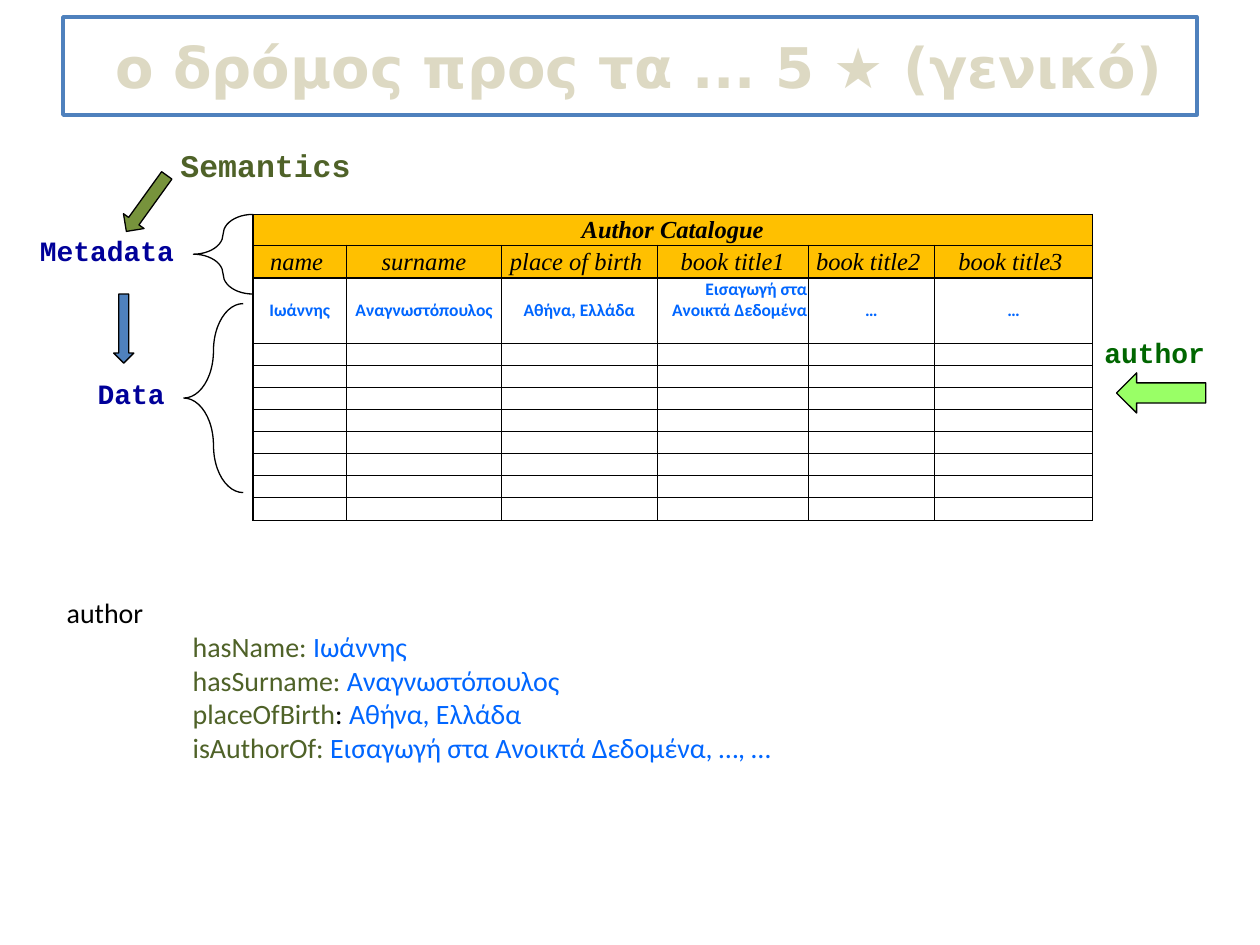
"""Build the slide on the road to five-star author data."""
from dataclasses import dataclass
from typing import Any, NamedTuple

from lxml.etree import SubElement
from pptx import Presentation
from pptx.dml.color import RGBColor
from pptx.enum.shapes import MSO_SHAPE
from pptx.enum.text import MSO_ANCHOR, PP_ALIGN
from pptx.oxml.ns import qn
from pptx.util import Pt


@dataclass(frozen=True)
class Theme:
    """Colours, fonts and type sizes of the slide."""

    black: str = "000000"
    white: str = "FFFFFF"
    cream: str = "DDD9C3"
    blue: str = "4F81BD"
    navy: str = "000099"
    value: str = "0066FF"
    olive: str = "4F6228"
    olive_fill: str = "77933C"
    green: str = "006600"
    lime: str = "99FF66"
    gold: str = "FFC000"
    title_font: str = "DejaVu Sans"
    body_font: str = "Calibri"
    label_font: str = "Courier New"
    table_font: str = "Times New Roman"
    title_size: float = 32
    semantics_size: float = 18
    text_size: float = 16
    header_size: float = 14
    cell_size: float = 10
    empty_size: float = 9
    thin: float = 0.5
    outline: float = 0.75
    thick: float = 1
    frame: float = 2


THEME = Theme()


class Area(NamedTuple):
    """Left, top, width and height in points."""

    left: float
    top: float
    width: float
    height: float


class Label(NamedTuple):
    """A bold one-line caption."""

    text: str
    area: Area
    color: str
    size: float = THEME.text_size


class Figure(NamedTuple):
    """An outlined preset shape."""

    kind: MSO_SHAPE
    area: Area
    adjustments: tuple[float, ...] = ()
    fill: str | None = None
    rotation: float = 0
    line: str = THEME.black
    line_width: float = THEME.outline


class Fact(NamedTuple):
    """A property of the author, its separator colour and its value."""

    name: str
    separator_color: str
    value: str


ARROW = (0.5, 0.5)
BRACE = (0.96, 0.5)
TITLE = "ο δρόμος προς τα ... 5 ★ (γενικό)"
TITLE_FRAME = Figure(MSO_SHAPE.RECTANGLE, Area(36, 9.75, 648, 56), (), THEME.white, 0,
                     THEME.blue, THEME.frame)
FIGURES = (
    Figure(MSO_SHAPE.LEFT_BRACE, Area(105, 173.5, 34, 108), BRACE),
    Figure(MSO_SHAPE.LEFT_BRACE, Area(110.5, 122.5, 34, 45.5), BRACE),
    Figure(MSO_SHAPE.DOWN_ARROW, Area(65, 168, 11.5, 39.5), ARROW, THEME.blue),
    Figure(MSO_SHAPE.RIGHT_ARROW, Area(638, 213, 51, 23), ARROW, THEME.lime, 180),
    Figure(MSO_SHAPE.DOWN_ARROW, Area(76.5, 96.5, 14.5, 39.5), ARROW, THEME.olive_fill, 35.8),
)
LABELS = (
    Label("Data", Area(48.75, 215.5, 68, 22), THEME.navy),
    Label("Metadata", Area(15.75, 133.5, 109, 23), THEME.navy),
    Label("author", Area(624, 192, 88, 22), THEME.green),
    Label("Semantics", Area(96, 84, 126, 24), THEME.olive, THEME.semantics_size),
)
FACTS = (
    Fact("hasName", THEME.olive, "Ιωάννης"),
    Fact("hasSurname", THEME.olive, "Αναγνωστόπουλος"),
    Fact("placeOfBirth", THEME.black, "Αθήνα, Ελλάδα"),
    Fact("isAuthorOf", THEME.olive, "Εισαγωγή στα Ανοικτά Δεδομένα, …, …"),
)
FACTS_AREA = Area(31, 337, 647, 124)
FACT_INDENT = 72
TABLE_AREA = Area(144.5, 122.5, 480, 175)
COLUMN_WIDTHS = (53.5, 88.5, 89, 86.5, 72, 90.5)
EMPTY_ROWS = 8
ROW_HEIGHTS = (17.5, 18.75, 37.25) + (12.65,) * EMPTY_ROWS
CATALOGUE = (
    ("Author Catalogue",),
    ("name ", "surname", "place of birth ", "book title1", "book title2 ", "book title3 "),
    ("Ιωάννης", "Αναγνωστόπουλος", "Αθήνα, Ελλάδα", "Εισαγωγή στα Ανοικτά Δεδομένα", "…", "…"),
)
BOOK_CELL = (2, 3)


def set_all(target: Any, values: dict[str, Any]) -> None:
    """Set each named attribute on the target."""
    for name, value in values.items():
        setattr(target, name, value)


def add_span(paragraph: Any, text: str, color: str, size: float, font: str,
             bold: bool = False, italic: bool = False) -> None:
    """Add one formatted run."""
    span = paragraph.add_run()
    span.text = text
    set_all(span.font, {"name": font, "size": Pt(size), "bold": bold, "italic": italic})
    span.font.color.rgb = RGBColor.from_string(color)


def add_box(page: Any, area: Area) -> Any:
    """Add a wrapping text box and return its text frame."""
    frame = page.shapes.add_textbox(*map(Pt, area)).text_frame
    frame.word_wrap = True
    return frame


def add_label(page: Any, label: Label) -> None:
    """Draw a caption."""
    paragraph = add_box(page, label.area).paragraphs[0]
    paragraph.line_spacing = 0.8
    add_span(paragraph, label.text, label.color, label.size, THEME.label_font, bold=True)


def paint(fill: Any, color: str | None) -> None:
    """Fill with a colour, or with nothing."""
    if color is None:
        fill.background()
    else:
        fill.solid()
        fill.fore_color.rgb = RGBColor.from_string(color)


def add_figure(page: Any, figure: Figure) -> Any:
    """Draw a preset shape."""
    shape = page.shapes.add_shape(figure.kind, *map(Pt, figure.area))
    shape.shadow.inherit = False
    shape.rotation = figure.rotation
    for index, value in enumerate(figure.adjustments):
        shape.adjustments[index] = value
    paint(shape.fill, figure.fill)
    shape.line.color.rgb = RGBColor.from_string(figure.line)
    shape.line.width = Pt(figure.line_width)
    return shape


def add_borders(cell: Any, row: int, column: int) -> None:
    """Draw thick edges at the left, the top and under the header, thin ones elsewhere."""
    thick = {"lnL": column == 0, "lnR": False, "lnT": row in (0, 2), "lnB": row == 1}
    for edge, heavy in thick.items():
        width = Pt(THEME.thick if heavy else THEME.thin)
        line = SubElement(cell._tc.get_or_add_tcPr(), qn(f"a:{edge}"), w=str(width))
        SubElement(SubElement(line, qn("a:solidFill")), qn("a:srgbClr"), val=THEME.black)


def fill_cell(cell: Any, row: int, column: int) -> None:
    """Format one table cell and write its text."""
    top = (row, column) == BOOK_CELL
    set_all(cell, {"margin_left": Pt(0.72), "margin_right": Pt(0.72), "margin_top": Pt(0.72),
                   "margin_bottom": Pt(0),
                   "vertical_anchor": MSO_ANCHOR.TOP if top else MSO_ANCHOR.MIDDLE})
    add_borders(cell, row, column)
    header = row < 2
    paint(cell.fill, THEME.gold if header else None)
    paragraph = cell.text_frame.paragraphs[0]
    paragraph.alignment = PP_ALIGN.RIGHT if top else PP_ALIGN.CENTER
    if row >= len(CATALOGUE) or column >= len(CATALOGUE[row]):
        SubElement(paragraph._p, qn("a:endParaRPr"), sz=str(int(THEME.empty_size * 100)))
    elif header:
        add_span(paragraph, CATALOGUE[row][column], THEME.black, THEME.header_size,
                 THEME.table_font, bold=row == 0, italic=True)
    else:
        add_span(paragraph, CATALOGUE[row][column], THEME.value, THEME.cell_size,
                 THEME.body_font, bold=True)


def add_catalogue(page: Any) -> None:
    """Draw the author table."""
    table = page.shapes.add_table(len(ROW_HEIGHTS), len(COLUMN_WIDTHS), *map(Pt, TABLE_AREA)).table
    set_all(table, {"first_row": False, "horz_banding": False})
    for column, width in zip(table.columns, COLUMN_WIDTHS):
        column.width = Pt(width)
    for row, height in zip(table.rows, ROW_HEIGHTS):
        row.height = Pt(height)
    table.cell(0, 0).merge(table.cell(0, len(COLUMN_WIDTHS) - 1))
    for row in range(len(ROW_HEIGHTS)):
        for column in range(len(COLUMN_WIDTHS)):
            fill_cell(table.cell(row, column), row, column)


def add_facts(page: Any) -> None:
    """List the properties of the author."""
    frame = add_box(page, FACTS_AREA)
    style = (THEME.text_size, THEME.body_font)
    add_span(frame.paragraphs[0], "author", THEME.black, *style)
    for fact in FACTS:
        paragraph = frame.add_paragraph()
        paragraph._p.get_or_add_pPr().set("marL", str(Pt(FACT_INDENT)))
        add_span(paragraph, fact.name, THEME.olive, *style)
        add_span(paragraph, ": ", fact.separator_color, *style)
        add_span(paragraph, fact.value, THEME.value, *style)


def add_title(page: Any) -> None:
    """Draw the framed title."""
    frame = add_figure(page, TITLE_FRAME).text_frame
    set_all(frame, {"word_wrap": True, "vertical_anchor": MSO_ANCHOR.MIDDLE,
                    "margin_left": Pt(18)})
    frame.paragraphs[0].alignment = PP_ALIGN.CENTER
    add_span(frame.paragraphs[0], TITLE, THEME.cream, THEME.title_size, THEME.title_font, bold=True)


def main() -> None:
    """Build and save the deck."""
    deck = Presentation()
    set_all(deck, {"slide_width": Pt(720), "slide_height": Pt(540)})
    page = deck.slides.add_slide(deck.slide_layouts[6])
    add_catalogue(page)
    for figure in FIGURES:
        add_figure(page, figure)
    for label in LABELS:
        add_label(page, label)
    add_facts(page)
    add_title(page)
    deck.save("out.pptx")


if __name__ == "__main__":
    main()
